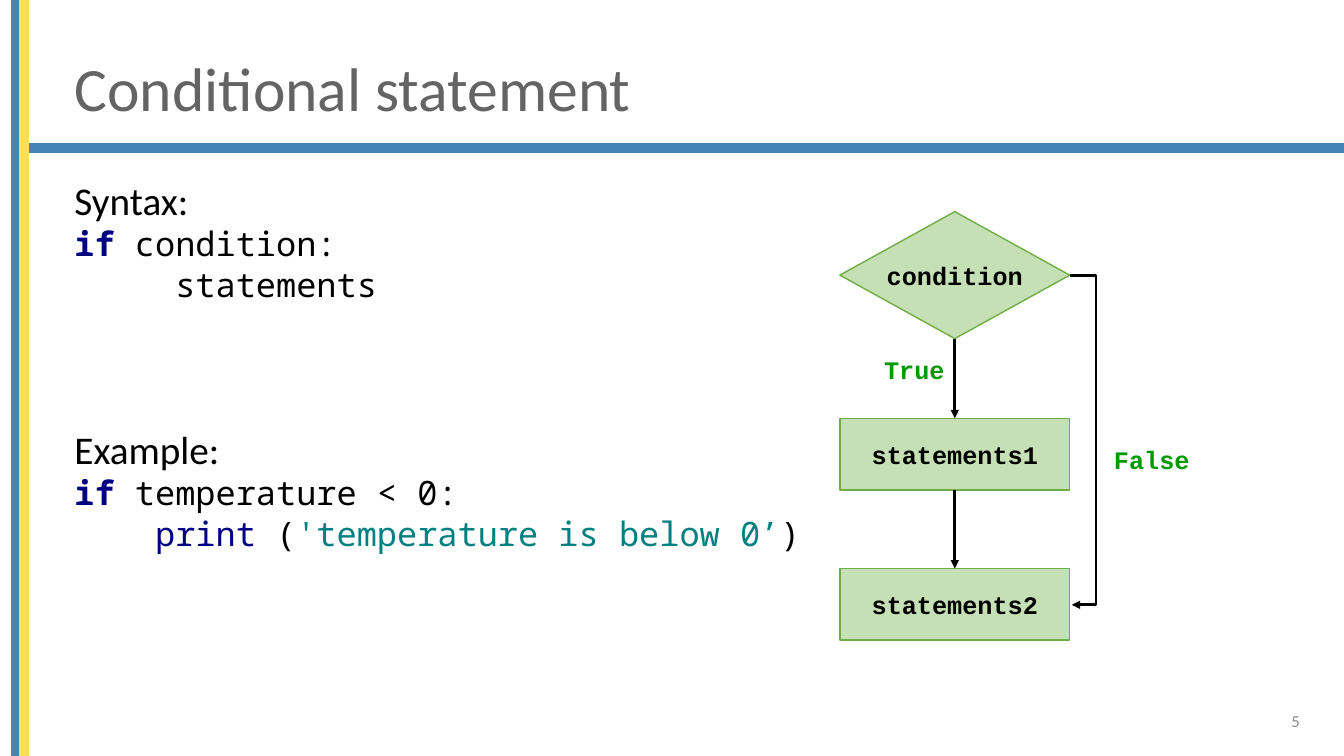
"""Build a slide that explains the conditional statement with code and a flow chart."""
import dataclasses

import lxml.etree
import pptx
import pptx.dml.color
import pptx.enum.shapes
import pptx.enum.text
import pptx.oxml.ns
import pptx.util

Inches = pptx.util.Inches
Shape = pptx.enum.shapes.MSO_SHAPE
Link = pptx.enum.shapes.MSO_CONNECTOR
Align = pptx.enum.text.PP_ALIGN
Anchor = pptx.enum.text.MSO_ANCHOR
qn = pptx.oxml.ns.qn


@dataclasses.dataclass(frozen=True)
class Theme:
    blue: str = "4584B6"
    yellow: str = "FFDE57"
    grey: str = "646464"
    pale: str = "8C8C8C"
    black: str = "000000"
    navy: str = "000080"
    teal: str = "008080"
    label: str = "009900"
    fill: str = "C5E0B4"
    edge: str = "70AD47"
    sans: str = "Calibri"
    mono: str = "Noto Sans Mono"
    chart: str = "Courier New"
    title: int = 44
    head: int = 28
    code: int = 24
    node: int = 18
    small: int = 12


def shade(name):
    return pptx.dml.color.RGBColor.from_string(name)


def write(para, text, size, font, color, bold=False, align=None):
    run = para.add_run()
    run.text = text
    run.font.size = pptx.util.Pt(size)
    run.font.name = font
    run.font.bold = bold
    run.font.color.rgb = shade(color)
    if align is not None:
        para.alignment = align


class Deck:
    def __init__(self, theme):
        self.theme = theme
        self.file = pptx.Presentation()
        self.file.slide_width = Inches(13.33)
        self.file.slide_height = Inches(7.5)
        self.slide = self.file.slides.add_slide(self.file.slide_layouts[5])

    def title(self, text, left, top, width, height):
        shape = self.slide.shapes.title
        shape.left, shape.top = Inches(left), Inches(top)
        shape.width, shape.height = Inches(width), Inches(height)
        frame = shape.text_frame
        frame.vertical_anchor = Anchor.MIDDLE
        frame.paragraphs[0].line_spacing = 0.9
        write(frame.paragraphs[0], text, self.theme.title, self.theme.sans,
              self.theme.grey, align=Align.LEFT)

    def block(self, kind, left, top, width, height, fill, edge):
        shape = self.slide.shapes.add_shape(
            kind, Inches(left), Inches(top), Inches(width), Inches(height))
        shape.shadow.inherit = False
        shape.fill.solid()
        shape.fill.fore_color.rgb = shade(fill)
        shape.line.color.rgb = shade(edge)
        shape.line.width = pptx.util.Pt(1)
        return shape

    def bar(self, left, top, width, height, color):
        self.block(Shape.RECTANGLE, left, top, width, height, color, color)

    def node(self, kind, text, left, top, width, height):
        frame = self.block(kind, left, top, width, height,
                           self.theme.fill, self.theme.edge).text_frame
        frame.word_wrap = False
        frame.vertical_anchor = Anchor.MIDDLE
        write(frame.paragraphs[0], text, self.theme.node, self.theme.chart,
              self.theme.black, bold=True, align=Align.CENTER)

    def box(self, left, top, width, height, wrap=True, anchor=Anchor.TOP):
        shape = self.slide.shapes.add_textbox(
            Inches(left), Inches(top), Inches(width), Inches(height))
        shape.text_frame.word_wrap = wrap
        shape.text_frame.vertical_anchor = anchor
        return shape.text_frame

    def label(self, text, left, top, width):
        frame = self.box(left, top, width, 0.4, wrap=False)
        write(frame.paragraphs[0], text, self.theme.node, self.theme.chart,
              self.theme.label, bold=True)

    def code(self, head, lines, left, top, width, height):
        frame = self.box(left, top, width, height)
        write(frame.paragraphs[0], head, self.theme.head, self.theme.sans,
              self.theme.black)
        for indent, parts in lines:
            para = frame.add_paragraph()
            props = para._p.get_or_add_pPr()
            props.set("marL", str(Inches(indent)))
            props.set("indent", "0")
            for text, color, bold in parts:
                write(para, text, self.theme.code, self.theme.mono, color, bold=bold)

    def arrow(self, start, end, bend=None):
        kind = Link.STRAIGHT if bend is None else Link.ELBOW
        link = self.slide.shapes.add_connector(
            kind, *(Inches(value) for value in (*start, *end)))
        link.line.color.rgb = shade(self.theme.black)
        link.line.width = pptx.util.Pt(2)
        props = link._element.spPr
        lxml.etree.SubElement(link.line._get_or_add_ln(), qn("a:tailEnd"), type="triangle")
        lxml.etree.SubElement(props, qn("a:effectLst"))
        if bend is not None:
            ratio = round(bend / (end[0] - start[0]) * 100000)
            guides = props.find(qn("a:prstGeom")).get_or_add_avLst()
            lxml.etree.SubElement(guides, qn("a:gd"), name="adj1", fmla=f"val {ratio}")


def main():
    theme = Theme()
    deck = Deck(theme)

    deck.bar(0.19, 1.43, 13.14, 0.08, theme.blue)
    for left, color in ((0.12, theme.blue), (0.2, theme.yellow)):
        deck.bar(left, 0, 0.08, 7.5, color)
    deck.title("Conditional statement", 0.64, 0.4, 11.78, 1.01)

    key = ("if ", theme.navy, True)
    deck.code("Syntax:", [
        (0, [key, ("condition:", theme.black, False)]),
        (1, [("statements", theme.black, False)]),
    ], 0.64, 1.7, 7.6, 1.5)
    deck.code("Example:", [
        (0, [key, ("temperature < 0:", theme.black, False)]),
        (0.8, [("print ", theme.navy, False), ("(", theme.black, False),
               ("'temperature is below 0’", theme.teal, False),
               (")", theme.black, False)]),
    ], 0.64, 4.17, 7.6, 1.5)

    left, width = 8.33, 2.28
    mid, right = left + width / 2, left + width
    nodes = (
        (Shape.FLOWCHART_DECISION, "condition", 2.1, 1.26),
        (Shape.RECTANGLE, "statements1", 4.15, 0.71),
        (Shape.RECTANGLE, "statements2", 5.64, 0.71),
    )
    for kind, text, top, height in nodes:
        deck.node(kind, text, left, top, width, height)
    for upper, lower in zip(nodes, nodes[1:]):
        deck.arrow((mid, upper[2] + upper[3]), (mid, lower[2]))
    deck.arrow((right, 2.73), (right + 0.02, 6), bend=0.26)
    deck.label("True", 8.67, 3.47, 0.81)
    deck.label("False", 10.95, 4.36, 0.96)

    page = deck.box(9.99, 6.95, 3, 0.4, anchor=Anchor.MIDDLE)
    write(page.paragraphs[0], "5", theme.small, theme.sans, theme.pale,
          align=Align.RIGHT)
    deck.file.save("out.pptx")


if __name__ == "__main__":
    main()
